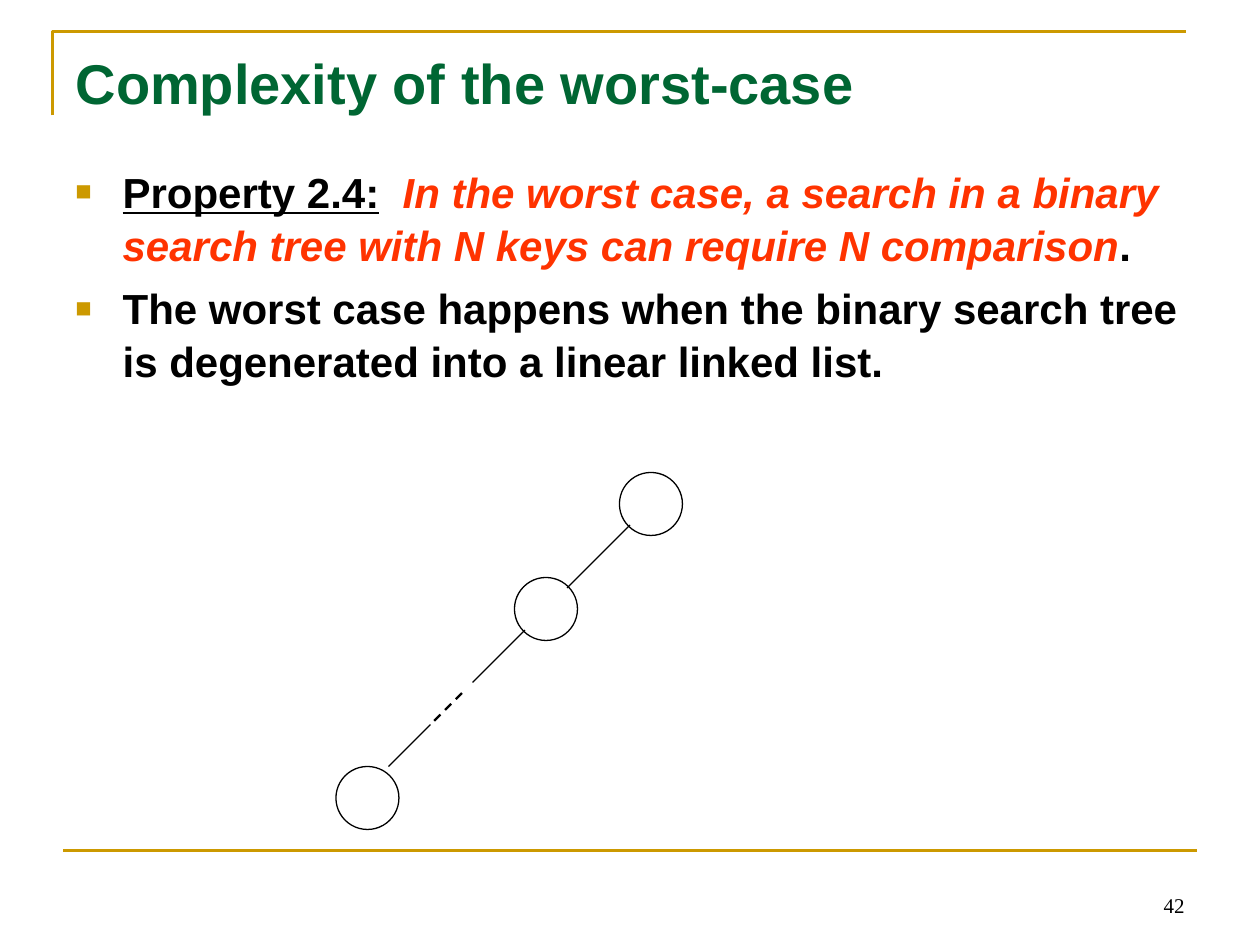
from lxml import etree
from pptx import Presentation
from pptx.dml.color import RGBColor
from pptx.enum import dml, shapes, text
from pptx.oxml import ns
from pptx.util import Pt

GOLD = RGBColor(0xCC, 0x99, 0x00)
GREEN = RGBColor(0x00, 0x66, 0x33)
RED = RGBColor(0xFF, 0x33, 0x00)
BLACK = RGBColor(0x00, 0x00, 0x00)


def set_font(font, name, size, color, bold=False):
    font.name = name
    font.size = Pt(size)
    font.color.rgb = color
    font.bold = bold


def add_line(slide, start, end, color, width, dash=None):
    line = slide.shapes.add_connector(
        shapes.MSO_CONNECTOR.STRAIGHT, *(Pt(value) for value in (*start, *end)))
    line.line.color.rgb = color
    line.line.width = Pt(width)
    if dash is not None:
        line.line.dash_style = dash
    etree.SubElement(line._element.spPr, ns.qn("a:effectLst"))


def add_text_box(slide, left, top, width, height, anchor):
    box = slide.shapes.add_textbox(Pt(left), Pt(top), Pt(width), Pt(height))
    box.text_frame.word_wrap = True
    box.text_frame.vertical_anchor = anchor
    return box.text_frame


def add_bullet(paragraph):
    properties = paragraph._p.get_or_add_pPr()
    properties.set("marL", str(Pt(27)))
    properties.set("indent", str(-Pt(27)))
    color = etree.SubElement(properties, ns.qn("a:buClr"))
    etree.SubElement(color, ns.qn("a:srgbClr"), val=str(GOLD))
    etree.SubElement(properties, ns.qn("a:buSzPct"), val="65000")
    etree.SubElement(properties, ns.qn("a:buFont"), typeface="Arial")
    etree.SubElement(properties, ns.qn("a:buChar"), char="■")


def add_frame(slide, left, top, width, height):
    builder = slide.shapes.build_freeform(Pt(left), Pt(top + height))
    builder.add_line_segments(
        [(Pt(left), Pt(top)), (Pt(left + width), Pt(top))], close=False)
    corner = builder.convert_to_shape()
    corner.shadow.inherit = False
    corner.fill.background()
    corner.line.color.rgb = GOLD
    corner.line.width = Pt(1.5)


def add_footer(slide, left, top, width, height):
    add_line(slide, (left, top), (left + width, top), GOLD, 1.5)
    frame = add_text_box(slide, left + width - 168, top + 6, 168, height - 6,
                         text.MSO_ANCHOR.BOTTOM)
    paragraph = frame.paragraphs[0]
    paragraph.text = "42"
    paragraph.alignment = text.PP_ALIGN.RIGHT
    set_font(paragraph.font, "Times New Roman", 12, BLACK)


def add_title(slide, left, top, width, height):
    title = slide.shapes.title
    title.left, title.top = Pt(left), Pt(top)
    title.width, title.height = Pt(width), Pt(height)
    title.text_frame.vertical_anchor = text.MSO_ANCHOR.MIDDLE
    paragraph = title.text_frame.paragraphs[0]
    paragraph.text = "Complexity of the worst-case"
    paragraph.alignment = text.PP_ALIGN.LEFT
    set_font(paragraph.font, "Arial", 32, GREEN, bold=True)


def add_body(slide, left, top, width, height):
    frame = add_text_box(slide, left, top, width, height, text.MSO_ANCHOR.TOP)
    rule, reason = frame.paragraphs[0], frame.add_paragraph()
    for paragraph in (rule, reason):
        paragraph.line_spacing = 1.05
        add_bullet(paragraph)
        set_font(paragraph.font, "Arial", 24, BLACK, bold=True)
    reason.space_before = Pt(6)

    label = rule.add_run()
    label.text = "Property 2.4:"
    label.font.underline = True
    rule.add_run().text = "  "
    statement = rule.add_run()
    statement.text = ("In the worst case, a search in a binary search tree "
                      "with N keys can require N comparison")
    statement.font.italic = True
    statement.font.color.rgb = RED
    rule.add_run().text = "."
    reason.text = ("The worst case happens when the binary search tree "
                   "is degenerated into a linear linked list.")


def add_degenerate_tree(slide, left, top, width, height):
    diameter = 36
    right = left + width
    for across, down in ((diameter, 0), (96, 60), (width, height - diameter)):
        node = slide.shapes.add_shape(
            shapes.MSO_SHAPE.OVAL, Pt(right - across), Pt(top + down),
            Pt(diameter), Pt(diameter))
        node.shadow.inherit = False
        node.fill.background()
        node.line.color.rgb = BLACK
        node.line.width = Pt(0.75)

    dash = dml.MSO_LINE.DASH
    edges = ((30, 30, 36, 0.75, None), (90, 90, 30, 0.75, None),
             (144, 144, 24, 0.75, None), (126, 126, 18, 1.25, dash))
    for across, down, run, weight, style in edges:
        start = (right - across, top + down)
        end = (start[0] - run, start[1] + run)
        add_line(slide, start, end, BLACK, weight, style)


def main():
    presentation = Presentation()
    presentation.slide_width, presentation.slide_height = Pt(720), Pt(540)
    slide = presentation.slides.add_slide(presentation.slide_layouts[5])
    add_frame(slide, 30, 18, 648, 48)
    add_footer(slide, 36, 486, 648, 42)
    add_title(slide, 36, 21.6, 648, 50.4)
    add_body(slide, 36, 90, 648, 168)
    add_degenerate_tree(slide, 192, 270, 198, 204)
    presentation.save("out.pptx")


if __name__ == "__main__":
    main()
